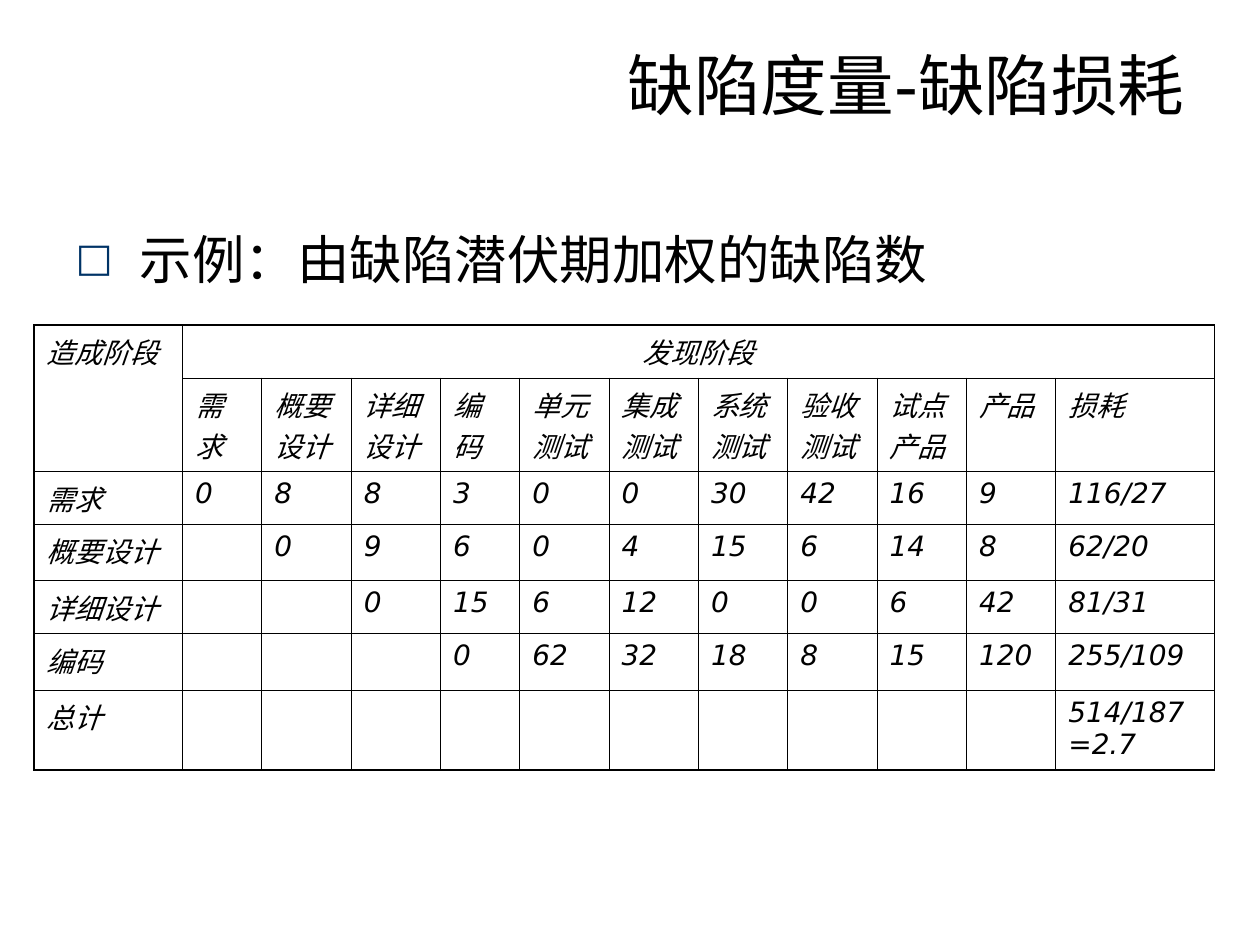
from dataclasses import dataclass

from lxml.etree import SubElement
from pptx import Presentation
from pptx.dml.color import RGBColor
from pptx.enum.text import MSO_ANCHOR, MSO_AUTO_SIZE, PP_ALIGN
from pptx.oxml.ns import qn
from pptx.util import Inches, Pt


@dataclass(frozen=True)
class Theme:
    """Fonts, type sizes, colours and line widths of the slide."""
    font: str = "DejaVu Sans"
    ink: str = "000000"
    bullet: str = "003366"
    title_size: float = 38
    body_size: float = 30
    table_size: float = 16
    grid_line: float = 0.45
    frame_line: float = 1.08


@dataclass(frozen=True)
class Box:
    """A region of the slide in inches."""
    left: float
    top: float
    width: float
    height: float

    def place(self, part):
        """Move and size a part to fill this region."""
        part.left, part.top = Inches(self.left), Inches(self.top)
        part.width, part.height = Inches(self.width), Inches(self.height)


THEME = Theme()
COLUMN_WIDTHS = [1.18, 0.63, 0.71, 0.71, 0.63] + [0.71] * 6 + [1.26]
ROW_HEIGHTS = [0.37, 0.64, 0.42, 0.45, 0.4, 0.45, 0.64]
FOUND_PHASES = ["需求", "概要设计", "详细设计", "编码", "单元测试", "集成测试",
                "系统测试", "验收测试", "试点产品", "产品", "损耗"]
DEFECTS = {
    "需求": [0, 8, 8, 3, 0, 0, 30, 42, 16, 9, "116/27"],
    "概要设计": [0, 9, 6, 0, 4, 15, 6, 14, 8, "62/20"],
    "详细设计": [0, 15, 6, 12, 0, 0, 6, 42, "81/31"],
    "编码": [0, 62, 32, 18, 8, 15, 120, "255/109"],
    "总计": ["514/187=2.7"],
}


def style_paragraph(paragraph, size, italic=False):
    """Set the theme font on a paragraph."""
    font = paragraph.font
    font.name, font.size, font.italic = THEME.font, Pt(size), italic
    font.color.rgb = RGBColor.from_string(THEME.ink)


def fill_placeholder(placeholder, box, text, size):
    """Place a placeholder, write its one paragraph and return it."""
    box.place(placeholder)
    frame = placeholder.text_frame
    frame.text = text
    frame.word_wrap = True
    frame.auto_size = MSO_AUTO_SIZE.NONE
    frame.vertical_anchor = MSO_ANCHOR.TOP
    paragraph = frame.paragraphs[0]
    paragraph.space_before = Pt(0)
    return paragraph


def add_title(slide, box):
    """Write the right-aligned title."""
    title = fill_placeholder(slide.shapes.title, box, "缺陷度量-缺陷损耗", THEME.title_size)
    title.alignment = PP_ALIGN.RIGHT
    style_paragraph(title, THEME.title_size)


def add_example(slide, box):
    """Write the bulleted line that introduces the table."""
    example = fill_placeholder(slide.placeholders[1], box,
                               "示例：由缺陷潜伏期加权的缺陷数", THEME.body_size)
    properties = example._p.get_or_add_pPr()
    properties.set("marL", str(Inches(0.51)))
    properties.set("indent", str(Inches(-0.51)))
    bullet_color = SubElement(properties, qn("a:buClr"))
    SubElement(bullet_color, qn("a:srgbClr"), val=THEME.bullet)
    SubElement(properties, qn("a:buSzPct"), val="75000")
    SubElement(properties, qn("a:buFont"), typeface=THEME.font)
    SubElement(properties, qn("a:buChar"), char="□")
    style_paragraph(example, THEME.body_size)


def set_borders(cell, outer_edges):
    """Draw the four borders of a cell, heavier on the outer edges."""
    properties = cell._tc.get_or_add_tcPr()
    for edge, is_outer in zip("LRTB", outer_edges):
        weight = THEME.frame_line if is_outer else THEME.grid_line
        line = SubElement(properties, qn(f"a:ln{edge}"), w=str(Pt(weight)))
        fill = SubElement(line, qn("a:solidFill"))
        SubElement(fill, qn("a:srgbClr"), val=THEME.ink)


def defect_rows():
    """Return the table text, with each phase's counts flush right."""
    blank = [""] * (len(FOUND_PHASES) - 1)
    rows = [["造成阶段", "发现阶段"] + blank, [""] + FOUND_PHASES]
    for phase, counts in DEFECTS.items():
        gap = [""] * (len(FOUND_PHASES) - len(counts))
        rows.append([phase] + gap + [str(count) for count in counts])
    return rows


def add_defect_table(slide, box):
    """Build the table of weighted defects by causing and finding phase."""
    rows = defect_rows()
    last_row, last_column = len(ROW_HEIGHTS) - 1, len(COLUMN_WIDTHS) - 1
    table = slide.shapes.add_table(
        len(ROW_HEIGHTS), len(COLUMN_WIDTHS), Inches(box.left), Inches(box.top),
        Inches(box.width), Inches(box.height)).table
    table.first_row = table.horz_banding = False
    for column, width in zip(table.columns, COLUMN_WIDTHS):
        column.width = Inches(box.width * width / sum(COLUMN_WIDTHS))
    for row, height in zip(table.rows, ROW_HEIGHTS):
        row.height = Inches(box.height * height / sum(ROW_HEIGHTS))
    for r, texts in enumerate(rows):
        for c, text in enumerate(texts):
            cell = table.cell(r, c)
            set_borders(cell, (c == 0, c == last_column, r == 0, r == last_row))
            cell.fill.background()
            cell.text = text
            style_paragraph(cell.text_frame.paragraphs[0], THEME.table_size, italic=True)
    table.cell(0, 0).merge(table.cell(1, 0))
    table.cell(0, 1).merge(table.cell(0, last_column))
    table.cell(0, 1).text_frame.paragraphs[0].alignment = PP_ALIGN.CENTER


def main():
    """Build and save the slide."""
    presentation = Presentation()
    presentation.slide_width, presentation.slide_height = Inches(10), Inches(7.5)
    slide = presentation.slides.add_slide(presentation.slide_layouts[1])
    add_title(slide, Box(0.5, 0.3, 9, 1.25))
    add_example(slide, Box(0.5, 1.75, 9.3, 4.95))
    add_defect_table(slide, Box(0.27, 2.58, 9.37, 3.35))
    presentation.save("out.pptx")


if __name__ == "__main__":
    main()
